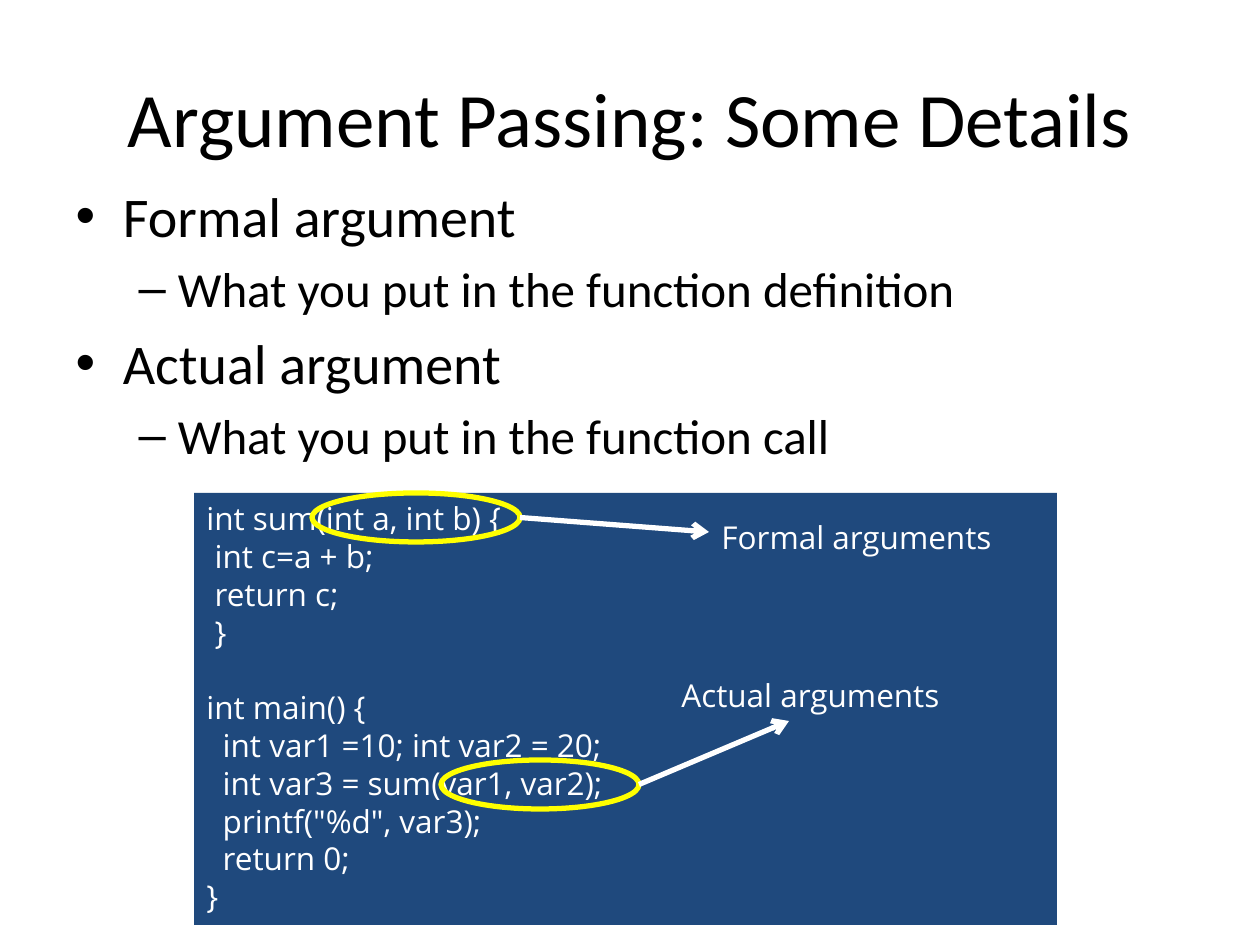
from lxml import etree
from pptx import Presentation
from pptx import util as u
from pptx.dml.color import RGBColor
from pptx.enum import shapes, text
from pptx.oxml.ns import qn

PX = 914400 / 126  # EMU per px
NAVY = RGBColor(0x1F, 0x49, 0x7D)
YELLOW = RGBColor(0xFF, 0xFF, 0x00)
WHITE = RGBColor(0xFF, 0xFF, 0xFF)
BLACK = RGBColor(0x00, 0x00, 0x00)

TITLE = "Argument Passing: Some Details"
POINTS = [
    ("Formal argument", 0),
    ("What you put in the function definition", 1),
    ("Actual argument", 0),
    ("What you put in the function call", 1),
]
SUM_CODE = ["int sum(int a, int b) {", " int c=a + b;", " return c;", " }"]
MAIN_CODE = [
    "int main() {",
    "  int var1 =10; int var2 = 20;",
    "  int var3 = sum(var1, var2);",
    '  printf("%d", var3);',
    "  return 0;",
    "}",
]
# Per argument kind: ellipse box, arrow tip, label text and label box
CALLOUTS = [
    ((118, 0, 208, 49), (515, 39), "Formal arguments", (515, 19, 357, 50)),
    ((247, 267, 198, 49), (595, 228), "Actual arguments", (475, 177, 297, 50)),
]


def emu(*lengths):
    return [u.Emu(round(length * PX)) for length in lengths]


def place(shape, box):
    shape.left, shape.top, shape.width, shape.height = emu(*box)


def style(paragraph, size, font, colour):
    for run in paragraph.runs:
        run.font.size = u.Pt(size)
        run.font.name = font
        run.font.color.rgb = colour


def add_heading(slide, box):
    title = slide.shapes.title
    place(title, box)
    title.text_frame.text = TITLE
    style(title.text_frame.paragraphs[0], 44, "Calibri", BLACK)


def add_points(slide, box):
    body = slide.placeholders[1]
    place(body, box)
    frame = body.text_frame
    frame.text = "\n".join(point for point, _ in POINTS)
    for paragraph, (_, level) in zip(frame.paragraphs, POINTS):
        paragraph.level = level
        style(paragraph, 28 if level else 32, "Calibri", BLACK)


def add_code(slide, box):
    panel = slide.shapes.add_shape(shapes.MSO_SHAPE.RECTANGLE, *emu(*box))
    panel.shadow.inherit = False
    panel.fill.solid()
    panel.fill.fore_color.rgb = NAVY
    panel.line.fill.background()
    frame = panel.text_frame
    frame.word_wrap = True
    frame.vertical_anchor = text.MSO_ANCHOR.TOP
    frame.text = "\n".join(SUM_CODE + MAIN_CODE)
    for paragraph in frame.paragraphs:
        paragraph.alignment = text.PP_ALIGN.LEFT
        style(paragraph, 18, "Open Sans", WHITE)
    # One line of space between the two functions
    frame.paragraphs[len(SUM_CODE)].space_before = u.Pt(21.6)


def add_arrow(slide, start, tip):
    arrow = slide.shapes.add_connector(
        shapes.MSO_CONNECTOR.STRAIGHT, *emu(*start, *tip))
    arrow.line.color.rgb = WHITE
    arrow.line.width = u.Pt(3)
    etree.SubElement(arrow.line._get_or_add_ln(), qn("a:tailEnd"), type="arrow")
    etree.SubElement(arrow._element.spPr, qn("a:effectLst"))


def add_callout(slide, origin, ellipse, tip, label, label_box):
    left, top = origin
    x, y, width, height = ellipse

    # Ring around the arguments
    ring = slide.shapes.add_shape(
        shapes.MSO_SHAPE.OVAL, *emu(left + x, top + y, width, height))
    ring.shadow.inherit = False
    ring.fill.background()
    ring.line.color.rgb = YELLOW
    ring.line.width = u.Pt(3)

    # Arrow from the ring to its label
    add_arrow(slide, (left + x + width, top + y + height / 2),
              (left + tip[0], top + tip[1]))

    # Label
    x, y, width, height = label_box
    caption = slide.shapes.add_textbox(*emu(left + x, top + y, width, height))
    caption.text_frame.word_wrap = True
    caption.text_frame.text = label
    style(caption.text_frame.paragraphs[0], 18, "Open Sans", WHITE)


def main():
    deck = Presentation()
    deck.slide_width, deck.slide_height = emu(1260, 945)
    slide = deck.slides.add_slide(deck.slide_layouts[1])
    add_heading(slide, (63, 38, 1134, 158))
    add_points(slide, (63, 175, 1134, 624))
    code_box = (194, 493, 863, 432)
    add_code(slide, code_box)
    for callout in CALLOUTS:
        add_callout(slide, code_box[:2], *callout)
    deck.save("out.pptx")


if __name__ == "__main__":
    main()
